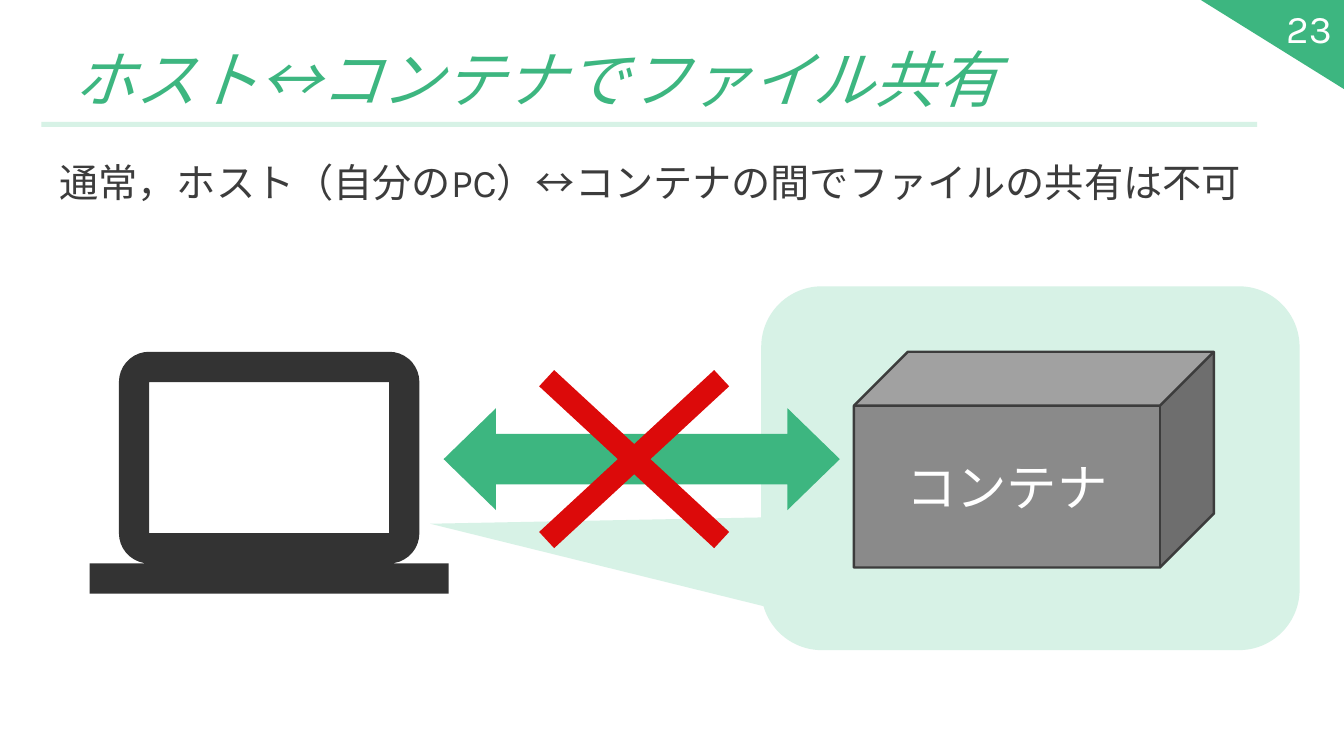
from dataclasses import dataclass
from math import cos, radians, sin

from pptx import Presentation
from pptx.dml.color import RGBColor
from pptx.enum.lang import MSO_LANGUAGE_ID
from pptx.enum.shapes import MSO_SHAPE
from pptx.enum.text import MSO_ANCHOR, MSO_AUTO_SIZE, PP_ALIGN
from pptx.oxml.xmlchemy import OxmlElement
from pptx.shapes.autoshape import Shape
from pptx.slide import Slide
from pptx.util import Emu, Pt

PX = 9144
FONT = "Karla"
GREEN = RGBColor(0x3D, 0xB6, 0x80)
MINT = RGBColor(0xD7, 0xF2, 0xE6)
INK = RGBColor(0x3C, 0x3C, 0x3C)
LAPTOP = RGBColor(0x33, 0x33, 0x33)
GRAY = RGBColor(0x8A, 0x8A, 0x8A)
RED = RGBColor(0xDC, 0x0A, 0x0A)
WHITE = RGBColor(0xFF, 0xFF, 0xFF)


@dataclass(frozen=True)
class Box:
    left: int
    top: int
    width: int
    height: int

    def emu(self) -> tuple[Emu, Emu, Emu, Emu]:
        return px(self.left), px(self.top), px(self.width), px(self.height)


@dataclass(frozen=True)
class Figure:
    kind: MSO_SHAPE
    box: Box
    fill: RGBColor
    rotation: float = 0
    adjustments: tuple[float, ...] = ()


@dataclass(frozen=True)
class Label:
    text: str
    size: int
    color: RGBColor
    alignment: PP_ALIGN = PP_ALIGN.LEFT
    anchor: MSO_ANCHOR = MSO_ANCHOR.MIDDLE
    italic: bool = False
    line_spacing: float = 1.0


TITLE_BOX = Box(63, 30, 1206, 89)
BODY_BOX = Box(49, 129, 1206, 91)
NUMBER_BOX = Box(1143, 8, 188, 40)
TITLE = Label("ホスト↔コンテナでファイル共有", 44, GREEN,
              anchor=MSO_ANCHOR.BOTTOM, italic=True)
BODY = Label("通常，ホスト（自分のPC）↔コンテナの間でファイルの共有は不可", 28, INK,
             anchor=MSO_ANCHOR.TOP, line_spacing=1.5)
NUMBER = Label("23", 28, WHITE, PP_ALIGN.RIGHT)
CONTAINER_LABEL = Label("コンテナ", 36, WHITE, PP_ALIGN.CENTER)

BACKGROUND = (
    Figure(MSO_SHAPE.RIGHT_TRIANGLE, Box(1191, 0, 143, 89), GREEN, 180),
    Figure(MSO_SHAPE.RECTANGLE, Box(41, 121, 1206, 5), MINT),
    Figure(MSO_SHAPE.ISOSCELES_TRIANGLE, Box(567, 349, 101, 384), MINT, 276.4),
    Figure(MSO_SHAPE.ROUNDED_RECTANGLE, Box(755, 284, 534, 361), MINT),
)
CONTAINER = Figure(MSO_SHAPE.CUBE, Box(847, 349, 357, 214), GRAY)
BLOCKED_ARROW = (
    Figure(MSO_SHAPE.LEFT_RIGHT_ARROW, Box(440, 405, 393, 101), GREEN,
           adjustments=(0.496, 0.514)),
    Figure(MSO_SHAPE.MATH_MULTIPLY, Box(462, 301, 334, 309), RED,
           adjustments=(0.071,)),
)


def px(length: float) -> Emu:
    return Emu(round(length * PX))


def write_label(shape: Shape, label: Label) -> None:
    frame = shape.text_frame
    frame.word_wrap = True
    frame.auto_size = MSO_AUTO_SIZE.NONE
    frame.vertical_anchor = label.anchor
    paragraph = frame.paragraphs[0]
    paragraph.alignment = label.alignment
    paragraph.line_spacing = label.line_spacing
    paragraph.space_before = Pt(0)
    run = paragraph.add_run()
    run.text = label.text
    run.font.name = FONT
    run.font.size = Pt(label.size)
    run.font.italic = label.italic
    run.font.color.rgb = label.color
    run.font.language_id = MSO_LANGUAGE_ID.JAPANESE


def fill_placeholder(shape: Shape, box: Box, label: Label) -> None:
    shape.left, shape.top, shape.width, shape.height = box.emu()
    write_label(shape, label)


def remove_bullet(shape: Shape) -> None:
    properties = shape.text_frame.paragraphs[0]._p.get_or_add_pPr()
    properties.set("marL", "0")
    properties.set("indent", "0")
    properties.append(OxmlElement("a:buNone"))


def paint(shape: Shape, color: RGBColor) -> None:
    shape.shadow.inherit = False
    shape.fill.solid()
    shape.fill.fore_color.rgb = color
    shape.line.fill.background()


def draw_figure(slide: Slide, figure: Figure) -> Shape:
    shape = slide.shapes.add_shape(figure.kind, *figure.box.emu())
    paint(shape, figure.fill)
    shape.rotation = figure.rotation
    for index, value in enumerate(figure.adjustments):
        shape.adjustments[index] = value
    return shape


def corner(center_x: int, center_y: int, start: int) -> list[tuple[Emu, Emu]]:
    radius = 30
    angles = [radians(start - step) for step in range(0, 91, 10)]
    return [(px(center_x + radius * cos(angle)), px(center_y + radius * sin(angle)))
            for angle in angles]


def draw_laptop(slide: Slide) -> None:
    left, right, top, bottom = 148, 386, 379, 529
    lid = (corner(right, bottom, 90) + corner(right, top, 0)
           + corner(left, top, -90) + corner(left, bottom, -180))
    base = [(px(x), px(y)) for x, y in ((89, 559), (89, 589), (445, 589), (445, 559))]
    screen = [(px(x), px(y)) for x, y in
              ((left, top), (right, top), (right, bottom), (left, bottom))]
    builder = slide.shapes.build_freeform(*lid[0])
    builder.add_line_segments(lid[1:] + base)
    builder.move_to(*screen[0])
    builder.add_line_segments(screen[1:])
    paint(builder.convert_to_shape(), LAPTOP)


def main() -> None:
    presentation = Presentation()
    presentation.slide_width, presentation.slide_height = px(1333), px(750)
    slide = presentation.slides.add_slide(presentation.slide_layouts[1])

    fill_placeholder(slide.shapes.title, TITLE_BOX, TITLE)
    body = slide.placeholders[1]
    fill_placeholder(body, BODY_BOX, BODY)
    remove_bullet(body)

    for figure in BACKGROUND:
        draw_figure(slide, figure)
    write_label(slide.shapes.add_textbox(*NUMBER_BOX.emu()), NUMBER)

    container = draw_figure(slide, CONTAINER)
    container.line.color.rgb = INK
    container.line.width = Pt(1.75)
    write_label(container, CONTAINER_LABEL)

    draw_laptop(slide)
    for figure in BLOCKED_ARROW:
        draw_figure(slide, figure)
    presentation.save("out.pptx")


if __name__ == "__main__":
    main()
